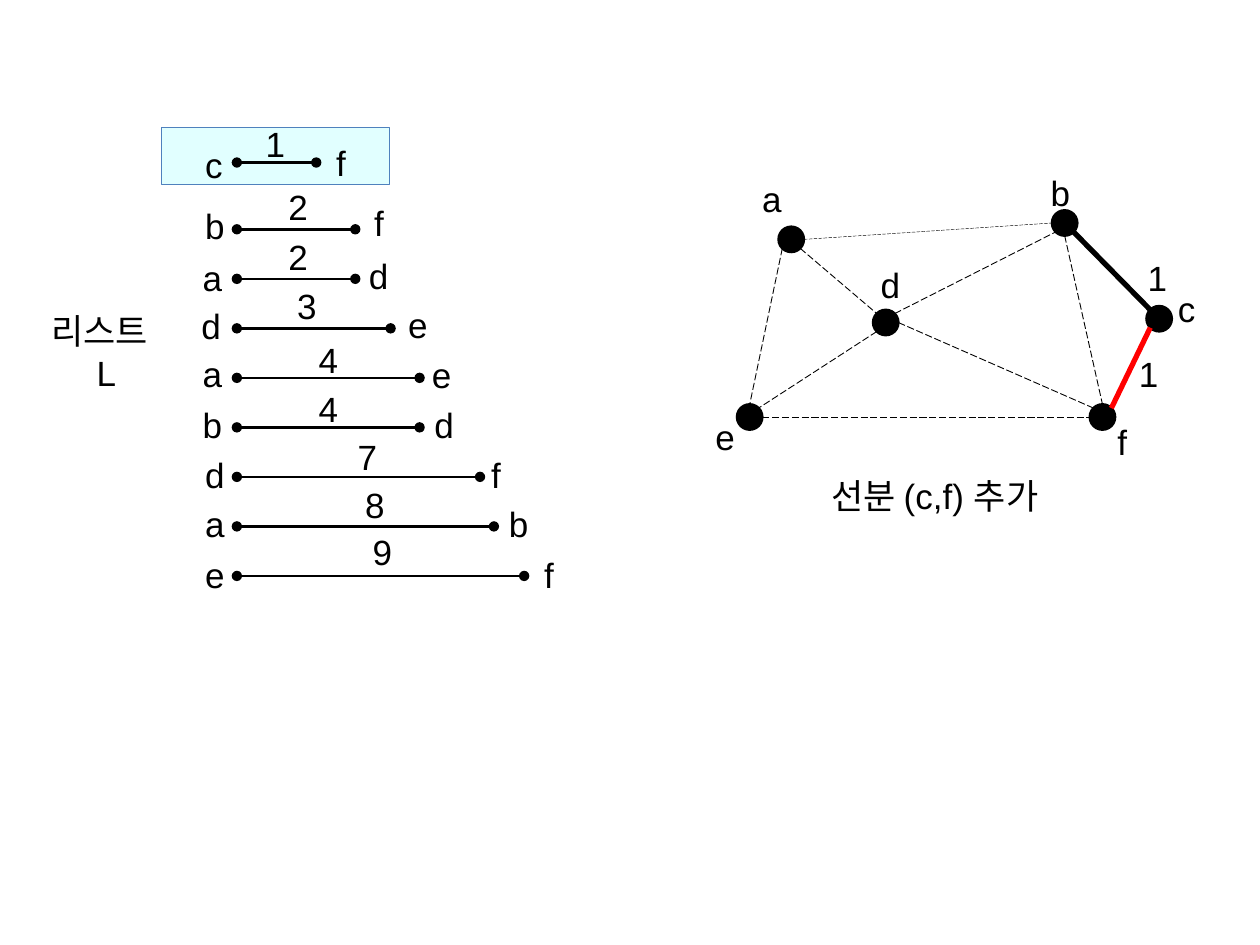
from math import cos, radians, sin

from lxml import etree
from pptx import Presentation
from pptx import util as u
from pptx.dml.color import RGBColor
from pptx.enum import dml, shapes, text
from pptx.oxml import ns

FONT, SIZE = "Arial", 20
BLACK, RED = "000000", "FF0000"
LABEL_HEIGHT, NODE_SIZE = 0.44, 0.2
LABEL_WIDTHS = {"a": 0.35, "c": 0.34, "e": 0.36, "f": 0.29}
LIST_LEFT, HIGHLIGHT_ROW, FIRST_ROW, ROW_PITCH = 1.88, 1.29, 1.82, 0.393
HIGHLIGHT = (1.28, 1.01, 1.81, 0.45)

# Each entry: line end, then (letter, left, top) for start, weight and finish.
SEGMENTS = [
    (2.51, ("c", 1.53, 1.09), ("1", 2.01, 0.92), ("f", 2.57, 1.07)),
    (2.82, ("b", 1.53, 1.57), ("2", 2.19, 1.42), ("f", 2.87, 1.55)),
    (2.82, ("a", 1.51, 1.99), ("2", 2.19, 1.82), ("d", 2.83, 1.97)),
    (3.10, ("d", 1.50, 2.37), ("3", 2.26, 2.21), ("e", 3.14, 2.36)),
    (3.33, ("a", 1.51, 2.75), ("4", 2.43, 2.64), ("e", 3.33, 2.76)),
    (3.33, ("b", 1.51, 3.15), ("4", 2.43, 3.03), ("d", 3.35, 3.15)),
    (3.81, ("d", 1.53, 3.55), ("7", 2.74, 3.41), ("f", 3.80, 3.55)),
    (3.92, ("a", 1.53, 3.94), ("8", 2.80, 3.79), ("b", 3.94, 3.94)),
    (4.16, ("e", 1.53, 4.34), ("9", 2.86, 4.16), ("f", 4.22, 4.34)),
]
NODES = {
    "a": ((6.28, 1.90), (5.95, 1.36)),
    "b": ((8.45, 1.77), (8.24, 1.31)),
    "c": ((9.20, 2.53), (9.25, 2.23)),
    "d": ((7.03, 2.56), (6.89, 2.04)),
    "e": ((5.95, 3.31), (5.58, 3.25)),
    "f": ((8.75, 3.31), (8.77, 3.29)),
}
ANGLES = {"E": 0, "SE": 45, "S": 90, "SW": 135, "W": 180, "NW": 225, "N": 270, "NE": 315}
DASHED = {"width": 0.5, "dash": dml.MSO_LINE.LONG_DASH}
EDGES = [
    ("a", "SE", "d", "NW", DASHED),
    ("d", "SW", "e", "NE", DASHED),
    ("a", "SW", "e", "N", DASHED),
    ("d", "E", "f", "NW", DASHED),
    ("e", "E", "f", "W", DASHED),
    ("a", "E", "b", "W", {**DASHED, "width": 0.25}),
    ("d", "NE", "b", "SW", DASHED),
    ("c", "NW", "b", "SE", {"width": 3}),
    ("f", "NE", "c", "SW", {"width": 3, "color": RED}),
    ("b", "S", "f", "N", DASHED),
]
EDGE_WEIGHTS = [("1", 8.94, 2.75), ("1", 9.01, 1.99)]
LEFT, CENTER = text.PP_ALIGN.LEFT, text.PP_ALIGN.CENTER
CAPTIONS = [
    ((0.31, 2.41, 1.07, 0.77), [("리스트", LEFT), ("L", CENTER)]),
    ((6.5, 3.72, 2.1, LABEL_HEIGHT), [("선분 (c,f) 추가", LEFT)]),
]


def color_of(value):
    return RGBColor.from_string(value)


def inches(values):
    return [u.Inches(value) for value in values]


def add_filled(slide, kind, box, fill, line, width):
    shape = slide.shapes.add_shape(kind, *inches(box))
    shape.shadow.inherit = False
    shape.fill.solid()
    shape.fill.fore_color.rgb = color_of(fill)
    shape.line.color.rgb = color_of(line)
    shape.line.width = u.Pt(width)


def add_line(slide, start, end, width, color=BLACK, dash=None, dots=False):
    connector = slide.shapes.add_connector(
        shapes.MSO_CONNECTOR.STRAIGHT, *inches((*start, *end)))
    connector.line.color.rgb = color_of(color)
    connector.line.width = u.Pt(width)
    if dash:
        connector.line.dash_style = dash
    if dots:
        outline = connector.line._get_or_add_ln()
        for tag in ("a:headEnd", "a:tailEnd"):
            etree.SubElement(outline, ns.qn(tag), type="oval")
    etree.SubElement(connector._element.spPr, ns.qn("a:effectLst"))


def add_text(slide, box, lines, wrap=True):
    frame = slide.shapes.add_textbox(*inches(box)).text_frame
    frame.word_wrap = wrap
    frame.auto_size = text.MSO_AUTO_SIZE.SHAPE_TO_FIT_TEXT
    for index, (words, alignment) in enumerate(lines):
        paragraph = frame.add_paragraph() if index else frame.paragraphs[0]
        paragraph.alignment = alignment
        run = paragraph.add_run()
        run.text = words
        for name, value in {"name": FONT, "size": u.Pt(SIZE)}.items():
            setattr(run.font, name, value)
        run.font.color.rgb = color_of(BLACK)


def add_label(slide, letter, left, top):
    width = LABEL_WIDTHS.get(letter, 0.37)
    add_text(slide, (left, top, width, LABEL_HEIGHT), [(letter, LEFT)], wrap=False)


def rim_point(node, side):
    (x, y), _ = NODES[node]
    angle, radius = radians(ANGLES[side]), NODE_SIZE / 2
    return x + radius * cos(angle), y + radius * sin(angle)


def draw_list(slide):
    add_filled(slide, shapes.MSO_SHAPE.RECTANGLE, HIGHLIGHT, "E1FFFF", "4F81BD", 0.25)
    for index, (end, *labels) in enumerate(SEGMENTS):
        y = FIRST_ROW + (index - 1) * ROW_PITCH if index else HIGHLIGHT_ROW
        add_line(slide, (end, y), (LIST_LEFT, y), 1.5, dots=True)
        for label in labels:
            add_label(slide, *label)


def draw_graph(slide):
    for (x, y), _ in NODES.values():
        box = (x - NODE_SIZE / 2, y - NODE_SIZE / 2, NODE_SIZE, NODE_SIZE)
        add_filled(slide, shapes.MSO_SHAPE.OVAL, box, BLACK, BLACK, 1.5)
    for start, start_side, end, end_side, style in EDGES:
        add_line(slide, rim_point(start, start_side), rim_point(end, end_side), **style)
    for letter, (_, position) in NODES.items():
        add_label(slide, letter, *position)
    for weight in EDGE_WEIGHTS:
        add_label(slide, *weight)


def main():
    presentation = Presentation()
    presentation.slide_width, presentation.slide_height = inches((10, 7.5))
    slide = presentation.slides.add_slide(presentation.slide_layouts[6])
    draw_list(slide)
    draw_graph(slide)
    for box, lines in CAPTIONS:
        add_text(slide, box, lines)
    presentation.save("out.pptx")


if __name__ == "__main__":
    main()
